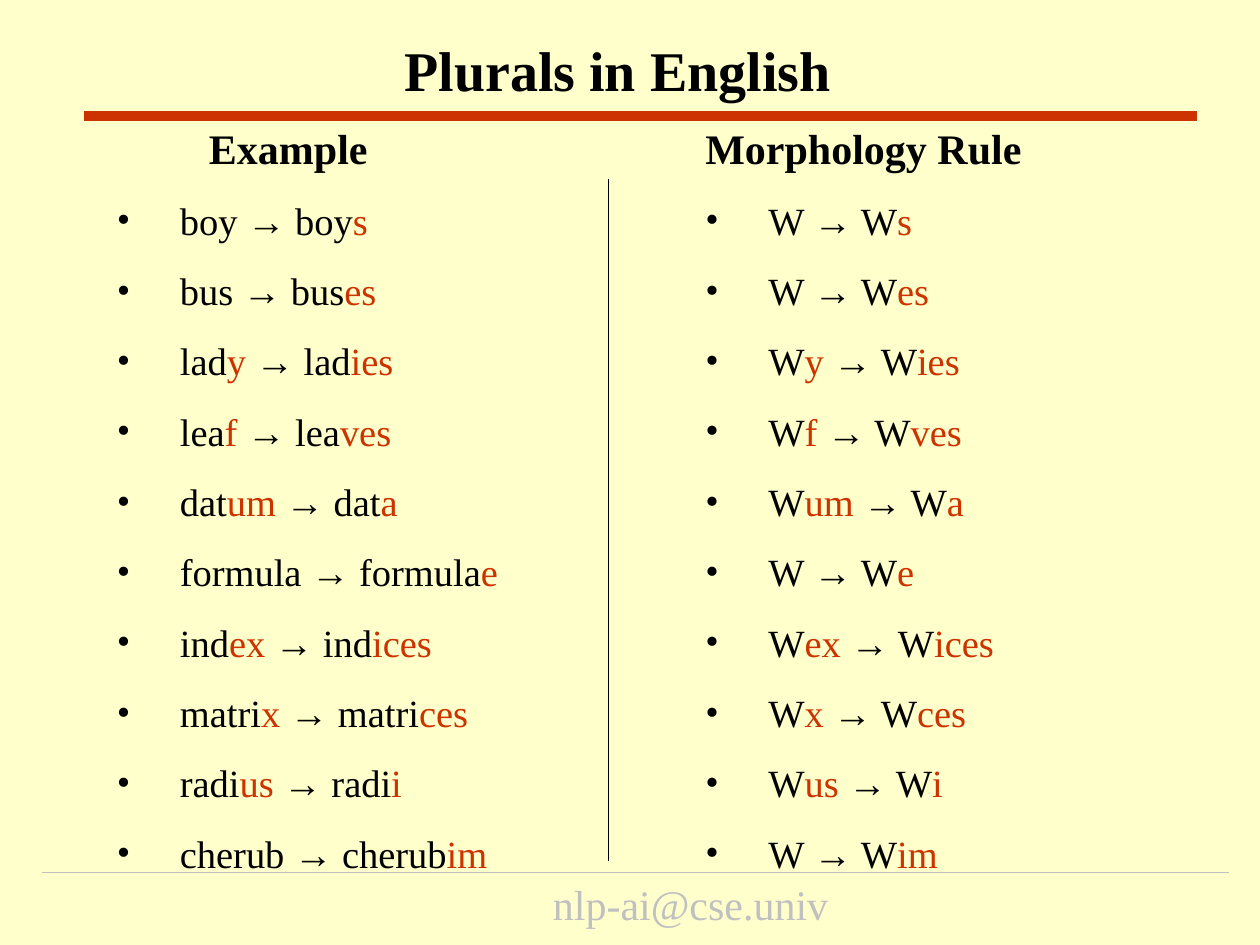
import pptx
import pptx.util
import pptx.dml.color
import pptx.enum.shapes
import pptx.enum.text
import lxml.etree
from pptx.oxml.ns import qn

Inches = pptx.util.Inches
Pt = pptx.util.Pt

PLURALS = [
    ("boy", "", "s"),
    ("bus", "", "es"),
    ("lad", "y", "ies"),
    ("lea", "f", "ves"),
    ("dat", "um", "a"),
    ("formula", "", "e"),
    ("ind", "ex", "ices"),
    ("matri", "x", "ces"),
    ("radi", "us", "i"),
    ("cherub", "", "im"),
]


def color(value):
    return pptx.dml.color.RGBColor.from_string(value)


class PluralsSlide:
    font = "Times New Roman"
    arrow_font = "Arial"
    ink = "000000"
    accent = "CC3300"
    muted = "C0C0C0"
    background = "FFFFCC"

    def __init__(self, deck):
        self.page = deck.slides.add_slide(deck.slide_layouts[5])
        fill = self.page.background.fill
        fill.solid()
        fill.fore_color.rgb = color(self.background)

    def style(self, span, size, shade, bold=False, font=None):
        span.font.name = font or self.font
        span.font.size = Pt(size)
        span.font.bold = bold
        span.font.color.rgb = color(shade)

    def title(self, text, left, top, width, height):
        box = self.page.shapes.title
        box.left, box.top = Inches(left), Inches(top)
        box.width, box.height = Inches(width), Inches(height)
        frame = box.text_frame
        frame.text = text
        frame.auto_size = pptx.enum.text.MSO_AUTO_SIZE.NONE
        frame.vertical_anchor = pptx.enum.text.MSO_ANCHOR.MIDDLE
        frame.margin_right = Inches(0.45)
        frame.margin_bottom = Inches(0.55)
        para = frame.paragraphs[0]
        para.alignment = pptx.enum.text.PP_ALIGN.CENTER
        self.style(para.runs[0], 32, self.ink, bold=True)

    def line(self, start, end, shade, width):
        points = [Inches(value) for value in (*start, *end)]
        connector = self.page.shapes.add_connector(
            pptx.enum.shapes.MSO_CONNECTOR.STRAIGHT, *points)
        connector.line.color.rgb = color(shade)
        connector.line.width = Pt(width)
        properties = connector._element.spPr
        lxml.etree.SubElement(properties, qn("a:effectLst"))

    def text(self, text, left, top, width, height, shade, indent, before, bold=False):
        box = self.page.shapes.add_textbox(
            Inches(left), Inches(top), Inches(width), Inches(height))
        frame = box.text_frame
        frame.word_wrap = True
        frame.text = text
        para = frame.paragraphs[0]
        para.space_before = Pt(before)
        para._p.get_or_add_pPr().set("marL", str(Inches(indent)))
        self.style(para.runs[0], 24, shade, bold)
        return frame

    def bullet(self, para):
        properties = para._p.get_or_add_pPr()
        properties.set("marL", str(Inches(0.5)))
        properties.set("indent", str(Inches(-0.5)))
        shade = lxml.etree.SubElement(properties, qn("a:buClr"))
        lxml.etree.SubElement(shade, qn("a:srgbClr")).set("val", self.ink)
        lxml.etree.SubElement(properties, qn("a:buFont")).set("typeface", self.font)
        lxml.etree.SubElement(properties, qn("a:buChar")).set("char", "•")

    def column(self, heading, left, indent, rules):
        frame = self.text(heading, left, 0.92, 3.5, 6.08, self.ink, indent, 15, bold=True)
        frame.auto_size = pptx.enum.text.MSO_AUTO_SIZE.SHAPE_TO_FIT_TEXT
        for stem, ending, plural in rules:
            para = frame.add_paragraph()
            para.space_before = Pt(13.8)
            self.bullet(para)
            singular = [(stem, self.ink), (ending + " ", self.accent)]
            if not ending:
                singular = [(stem + " ", self.ink)]
            for text, shade in singular + [
                    ("→", self.ink), (" " + stem, self.ink), (plural, self.accent)]:
                span = para.add_run()
                span.text = text
                font = self.arrow_font if text == "→" else self.font
                self.style(span, 22, shade, font=font)


deck = pptx.Presentation()
deck.slide_width, deck.slide_height = Inches(10), Inches(7.5)

slide = PluralsSlide(deck)
slide.text("nlp-ai@cse.univ", 1.5, 6.92, 7, 0.25, slide.muted, 2.79, 6)
slide.line((0.33, 6.92), (9.75, 6.92), slide.muted, 0.26)
slide.line((0.67, 0.92), (9.5, 0.92), slide.accent, 6)
slide.column("Example", 0.83, 0.73, PLURALS)
slide.title("Plurals in English", 0.83, 0.42, 8.5, 0.75)
slide.column("Morphology Rule", 5.5, 0,
             [("W", ending, plural) for _, ending, plural in PLURALS])
slide.line((4.83, 1.42), (4.83, 6.83), slide.ink, 0.74)

deck.save("out.pptx")
